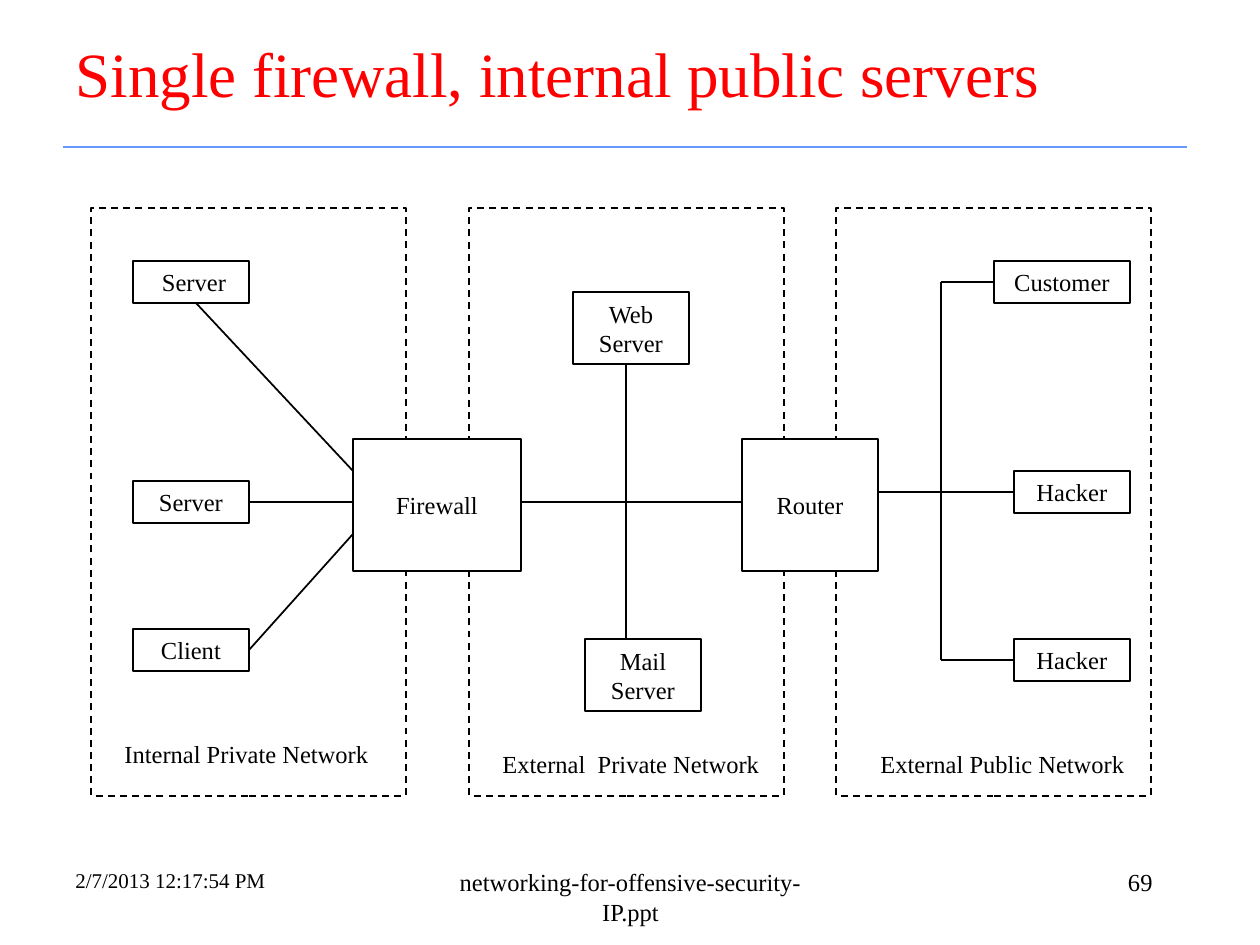
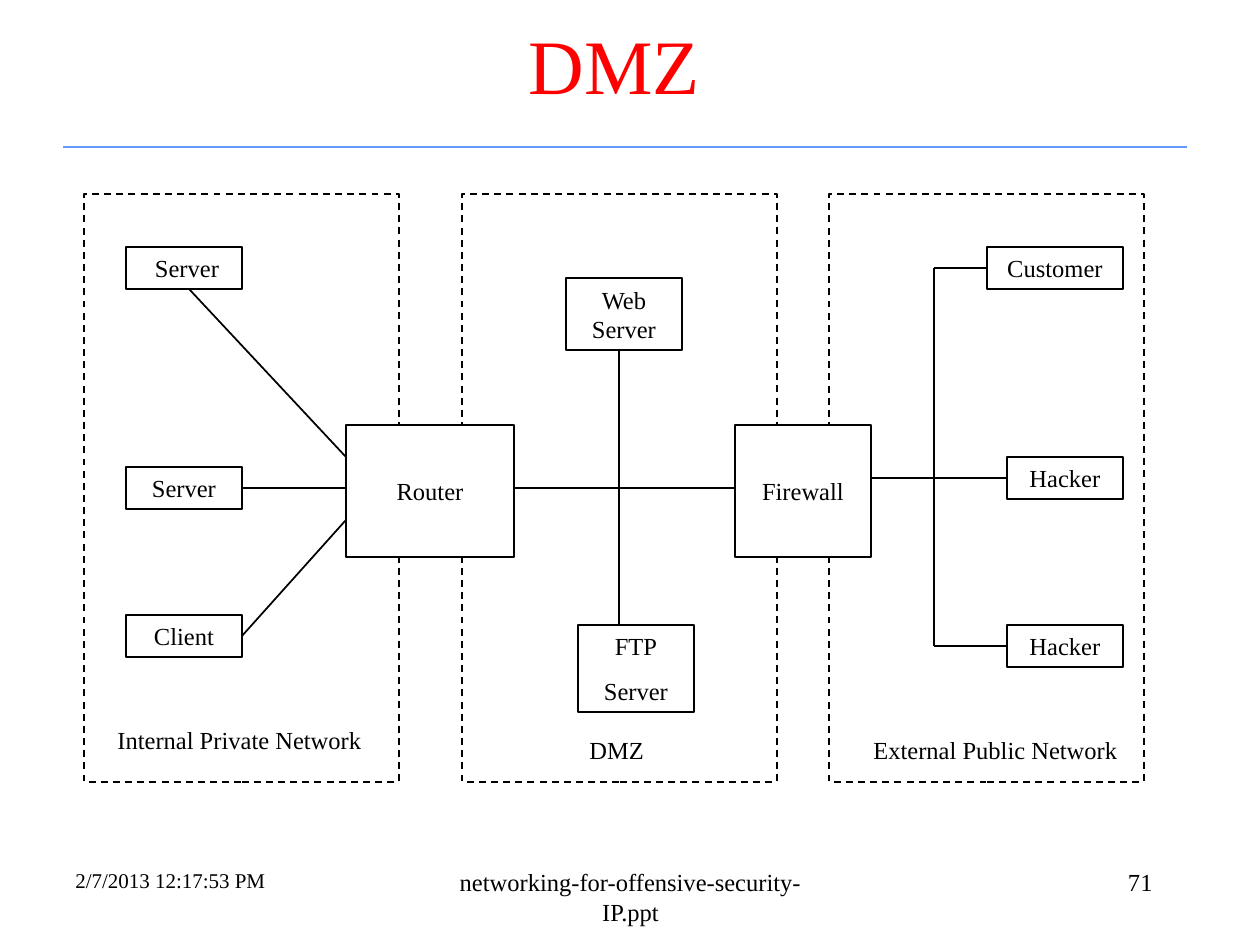
"""Build two network diagrams: internal public servers and a DMZ."""
import pptx
import pptx.util
import pptx.dml.color
import pptx.enum.dml
import pptx.enum.shapes
import pptx.enum.text
import pptx.oxml

RGBColor = pptx.dml.color.RGBColor
ALIGN = pptx.enum.text.PP_ALIGN
ANCHOR = pptx.enum.text.MSO_ANCHOR
RED = RGBColor(0xFF, 0x00, 0x00)
BLUE = RGBColor(0x66, 0x99, 0xFF)
BLACK = RGBColor(0x00, 0x00, 0x00)
WHITE = RGBColor(0xFF, 0xFF, 0xFF)
FONT = "Times New Roman"
SCALE = 914400 / 126
LEFT, RIGHT = 1, 3

ZONE_LEFTS = (0, 378, 745)
BOX_WIDTH, WIDE_WIDTH, BOX_HEIGHT = 116, 136, 42
INTERNAL_LEFT, OUTSIDE_RIGHT = 42, 1039
GATE_TOP, GATE_HEIGHT = 231, 132
BUS = 850


def px(length):
    return pptx.util.Emu(round(length * SCALE))


class Deck:
    """Holds the style, the current slide and the origin of its diagram."""

    def __init__(self):
        self.prs = pptx.Presentation()
        self.prs.slide_width, self.prs.slide_height = px(1260), px(945)

    def start(self, title, size, align, number, time):
        self.slide = self.prs.slides.add_slide(self.prs.slide_layouts[5])
        self.origin = (0, 0)
        self.line((63, 147), (1187, 147), BLUE)
        heading = self.slide.shapes.title
        heading.left, heading.top, heading.width, heading.height = map(px, (63, 21, 1103, 95))
        self.fill_text(heading, [title], size, align, RED, ANCHOR.BOTTOM)
        self.text("networking-for-offensive-security-IP.ppt", 431, 861, 399, 63, align=ALIGN.CENTER)
        self.text(number, 903, 861, 262, 63, align=ALIGN.RIGHT)
        self.text(time, 63, 861, 404, 63, size=12)

    def fill_text(self, holder, lines, size, align, color=BLACK, anchor=ANCHOR.TOP):
        frame = holder.text_frame
        frame.word_wrap = True
        frame.auto_size = pptx.enum.text.MSO_AUTO_SIZE.NONE
        frame.vertical_anchor = anchor
        for index, words in enumerate(lines):
            paragraph = frame.add_paragraph() if index else frame.paragraphs[0]
            paragraph.alignment = align
            paragraph.space_before = pptx.util.Pt(8.8 if index else 0)
            run = paragraph.add_run()
            run.text = words
            run.font.name, run.font.size = FONT, pptx.util.Pt(size)
            run.font.color.rgb = color

    def place(self, x, y):
        return px(self.origin[0] + x), px(self.origin[1] + y)

    def text(self, words, x, y, width, height=BOX_HEIGHT, size=14, align=ALIGN.LEFT):
        label = self.slide.shapes.add_textbox(*self.place(x, y), px(width), px(height))
        self.fill_text(label, [words], size, align)

    def box(self, lines, x, y, width=BOX_WIDTH, height=BOX_HEIGHT, dashed=False):
        node = self.slide.shapes.add_shape(
            pptx.enum.shapes.MSO_SHAPE.RECTANGLE, *self.place(x, y), px(width), px(height))
        node.shadow.inherit = False
        node.fill.solid()
        node.fill.fore_color.rgb = WHITE
        node.line.color.rgb = BLACK
        node.line.width = pptx.util.Pt(1)
        if dashed:
            node.line.dash_style = pptx.enum.dml.MSO_LINE.DASH
        self.fill_text(node, lines, 14, ALIGN.CENTER, anchor=ANCHOR.MIDDLE)
        return node

    def line(self, start, end, color=BLACK, joined=None, site=LEFT):
        link = self.slide.shapes.add_connector(
            pptx.enum.shapes.MSO_CONNECTOR.STRAIGHT, *self.place(*start), *self.place(*end))
        link.line.color.rgb = color
        link.line.width = pptx.util.Pt(1)
        link._element.spPr.append(pptx.oxml.parse_xml(
            '<a:effectLst xmlns:a="http://schemas.openxmlformats.org/drawingml/2006/main"/>'))
        if joined is not None:
            link.begin_connect(joined, site)

    def network(self, origin, gates, lower_server, lower_height, middle_label):
        self.origin = origin
        for left in ZONE_LEFTS:
            self.box([], left, 0, 315, 588, dashed=True)
        self.text("Internal Private Network", 21, 525, 273)
        self.text(*middle_label)
        self.text("External Public Network", 777, 535, 273)

        inner_left, inner_right, outer_left, outer_right = 262, 430, 651, 787
        for gate, left, right in zip(gates, (inner_left, outer_left), (inner_right, outer_right)):
            self.box([gate], left, GATE_TOP, right - left, GATE_HEIGHT)
        self.box(lower_server, 494, 431, height=lower_height)
        self.box(["Web Server"], 482, 84, height=72)

        outside = (("Customer", 53, WIDE_WIDTH, BUS), ("Hacker", 263, BOX_WIDTH, outer_right),
                   ("Hacker", 431, BOX_WIDTH, BUS))
        for name, top, width, reach in outside:
            left, middle = OUTSIDE_RIGHT - width, top + BOX_HEIGHT // 2
            visitor = self.box([name], left, top, width)
            self.line((left, middle), (reach, middle), joined=visitor)
        self.line((BUS, 74), (BUS, 452))

        self.box([" Server"], INTERNAL_LEFT, 53)
        self.line((105, 95), (inner_left, 263))
        for name, top, gate_y in (("Server", 273, 294), ("Client", 421, 326)):
            machine = self.box([name], INTERNAL_LEFT, top)
            self.line((INTERNAL_LEFT + BOX_WIDTH, top + BOX_HEIGHT // 2), (inner_left, gate_y),
                      joined=machine, site=RIGHT)
        self.line((inner_right, 294), (outer_left, 294))
        self.line((535, 157), (535, 431))


def main():
    deck = Deck()
    deck.start("Single firewall, internal public servers", 36, ALIGN.LEFT,
               "69", "2/7/2013 12:17:54 PM")
    deck.network((91, 208), ("Firewall", "Router"), ["Mail Server"], 72,
                 ("External  Private Network", 399, 535, 294))
    deck.start("DMZ", 44, ALIGN.CENTER, "71", "2/7/2013 12:17:53 PM")
    deck.network((84, 194), ("Router", "Firewall"), ["FTP", "Server"], 87,
                 ("DMZ", 493, 535, 84))
    deck.prs.save("out.pptx")


if __name__ == "__main__":
    main()
